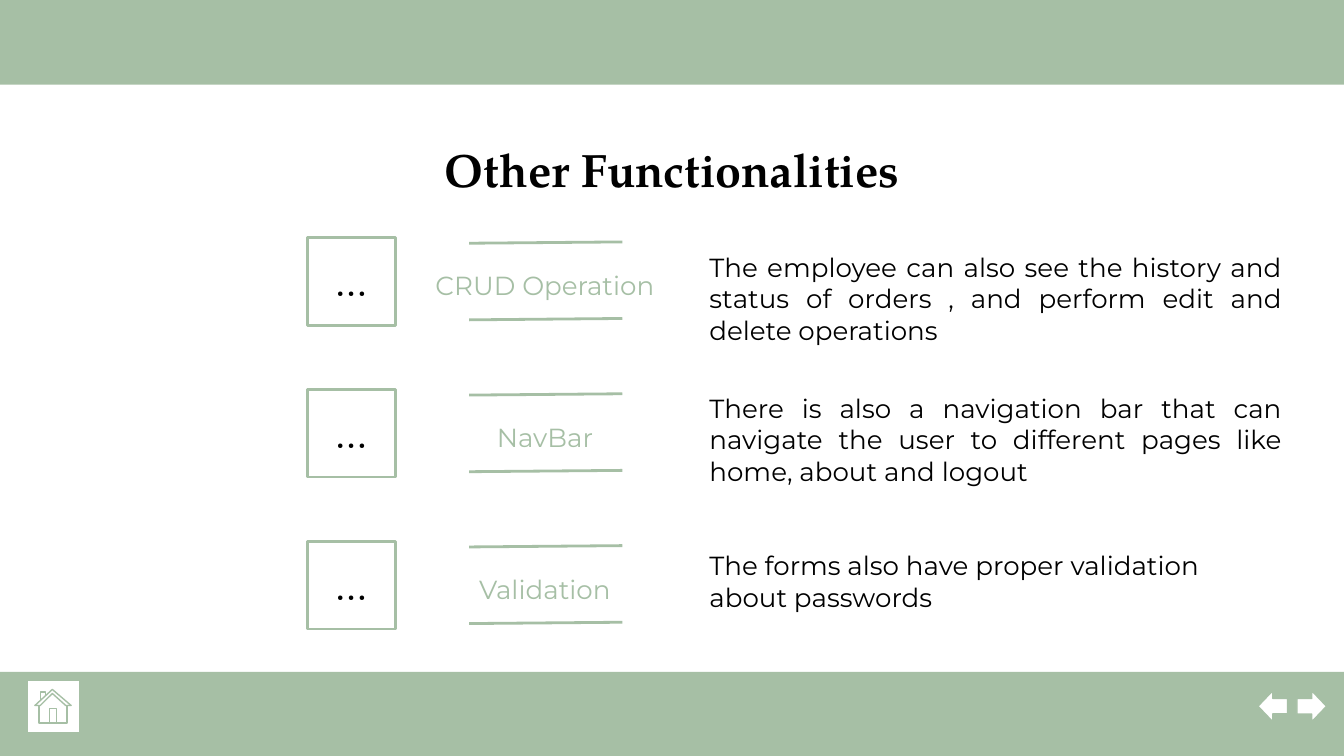
from dataclasses import dataclass

from lxml.etree import SubElement
from pptx import Presentation
from pptx.dml.color import RGBColor
from pptx.enum.shapes import MSO_CONNECTOR, MSO_SHAPE
from pptx.enum.text import MSO_ANCHOR, PP_ALIGN
from pptx.oxml.ns import qn
from pptx.util import Inches, Pt


@dataclass(frozen=True)
class Theme:
    sage: RGBColor = RGBColor(0xA6, 0xBF, 0xA5)
    white: RGBColor = RGBColor(0xFF, 0xFF, 0xFF)
    black: RGBColor = RGBColor(0, 0, 0)
    serif: str = "TeX Gyre Pagella"
    sans: str = "Montserrat"
    title_size: Pt = Pt(25)
    tile_size: Pt = Pt(20)
    body_size: Pt = Pt(14)
    rule_width: Pt = Pt(1.5)
    thin_width: Pt = Pt(0.75)


theme = Theme()
presentation = Presentation()
# Widescreen, 16:9
presentation.slide_width = Inches(10)
presentation.slide_height = Inches(10) * 9 // 16
slide = presentation.slides.add_slide(presentation.slide_layouts[6])
shapes = slide.shapes


def add_block(preset, left, top, width, height, fill, line_width=None):
    block = shapes.add_shape(preset, Inches(left), Inches(top), Inches(width), Inches(height))
    block.shadow.inherit = False
    block.fill.solid()
    block.fill.fore_color.rgb = fill
    if line_width is None:
        block.line.fill.background()
    else:
        block.line.color.rgb = theme.sage
        block.line.width = line_width
    return block


def write(holder, text, font, size, color, align, anchor=MSO_ANCHOR.TOP, bold=False):
    frame = holder.text_frame
    frame.word_wrap = True
    frame.vertical_anchor = anchor
    frame.margin_left = frame.margin_right = Inches(0.1)
    frame.margin_top = frame.margin_bottom = Inches(0.1)
    paragraph = frame.paragraphs[0]
    paragraph.alignment = align
    run = paragraph.add_run()
    run.text = text
    run.font.name = font
    run.font.size = size
    run.font.bold = bold
    run.font.color.rgb = color


# Bands at the top and bottom
for band_top in (-0.02, 5):
    add_block(MSO_SHAPE.RECTANGLE, 0, band_top, 10.02, 0.65, theme.sage)

# Title
title = shapes.add_textbox(Inches(0.78), Inches(0.95), Inches(8.44), Inches(0.6))
write(title, "Other Functionalities", theme.serif, theme.title_size, theme.black,
      PP_ALIGN.CENTER, bold=True)

# One row per functionality: tile, label between two rules, description
functionalities = [
    ("CRUD Operation", 1.77, PP_ALIGN.JUSTIFY,
     "The employee can also see the history and status of orders , "
     "and perform edit and delete operations"),
    ("NavBar", 2.82, PP_ALIGN.JUSTIFY,
     "There is also a navigation bar that can navigate the user to different pages "
     "like home, about and logout"),
    ("Validation", 3.99, PP_ALIGN.LEFT,
     "The forms also have proper validation about passwords"),
]
for row, (name, description_top, description_align, description) in enumerate(functionalities):
    row_top = 1.77 + 1.13 * row

    tile = add_block(MSO_SHAPE.RECTANGLE, 2.29, row_top, 0.65, 0.65,
                     theme.white, theme.rule_width)
    write(tile, "…", theme.serif, theme.tile_size, theme.black,
          PP_ALIGN.CENTER, MSO_ANCHOR.MIDDLE)

    label = shapes.add_textbox(Inches(3.04), Inches(row_top + 0.08), Inches(2.03), Inches(0.49))
    write(label, name, theme.sans, theme.body_size, theme.sage,
          PP_ALIGN.CENTER, MSO_ANCHOR.BOTTOM)

    for offset in (0.04, 0.61):
        rule = shapes.add_connector(
            MSO_CONNECTOR.STRAIGHT, Inches(3.49), Inches(row_top + offset),
            Inches(4.63), Inches(row_top + offset - 0.01))
        rule.line.color.rgb = theme.sage
        rule.line.width = theme.rule_width
        SubElement(rule._element.spPr, qn("a:effectLst"))

    details = shapes.add_textbox(Inches(5.18), Inches(description_top), Inches(4.46), Inches(0.65))
    write(details, description, theme.sans, theme.body_size, theme.black, description_align)

# Back and forward arrows
for arrow_left, rotation in ((9.36, 0), (9.65, 180)):
    arrow = add_block(MSO_SHAPE.LEFT_ARROW, arrow_left, 5.14, 0.22, 0.23,
                      theme.white, theme.thin_width)
    arrow.rotation = rotation

# Home button, with the house outlined in hundredths of an inch
add_block(MSO_SHAPE.RECTANGLE, 0.2, 5.06, 0.39, 0.39, theme.white, theme.thin_width)
roof = [(26, 525), (39, 513), (53, 525), (49, 525), (39, 516), (30, 525), (26, 525)]
walls = [(29, 525), (29, 538), (50, 538), (50, 525)]
door = [(37, 538), (37, 527), (42, 527), (42, 538)]
chimney = [(30, 521), (30, 515), (34, 515), (34, 517)]
pen = shapes.build_freeform(*roof[0], scale=Inches(0.01))
pen.add_line_segments(roof[1:], close=False)
for part in (walls, door, chimney):
    pen.move_to(*part[0])
    pen.add_line_segments(part[1:], close=False)
house = pen.convert_to_shape()
house.shadow.inherit = False
house.fill.background()
house.line.color.rgb = theme.sage
house.line.width = theme.thin_width

presentation.save("out.pptx")
